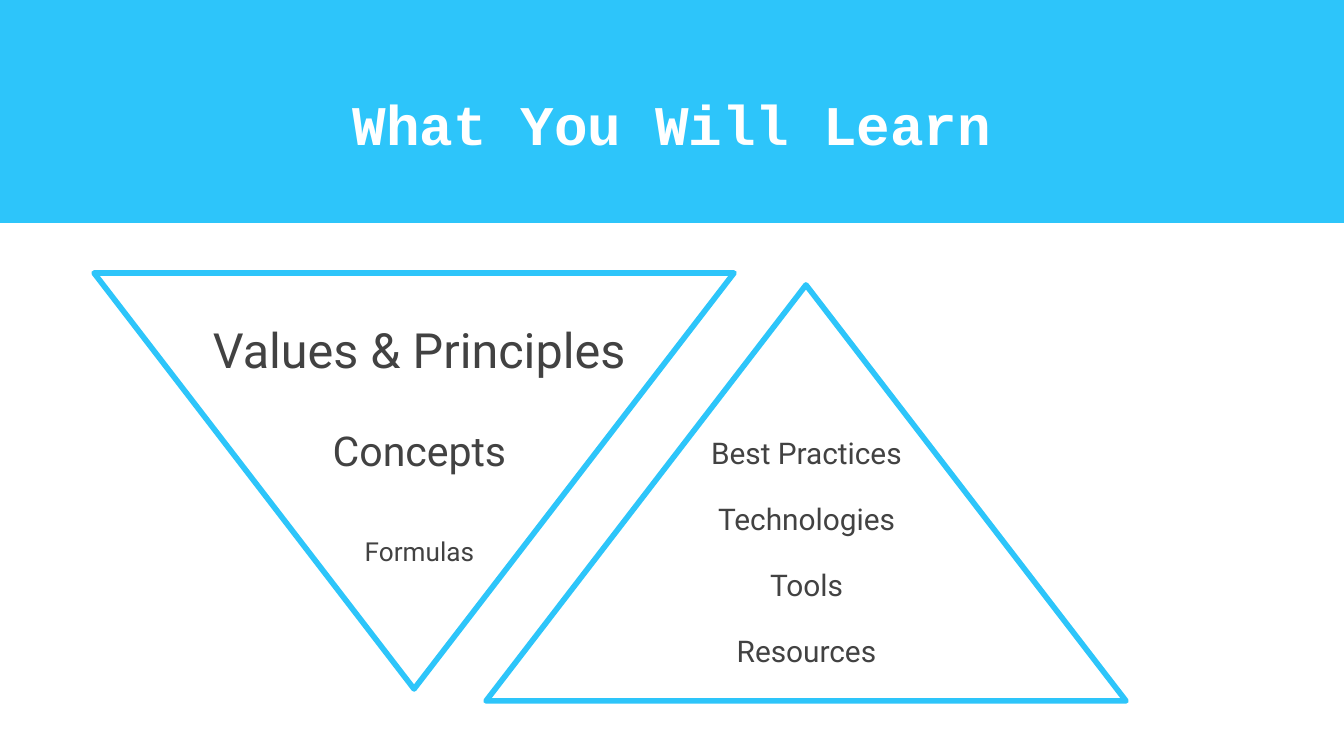
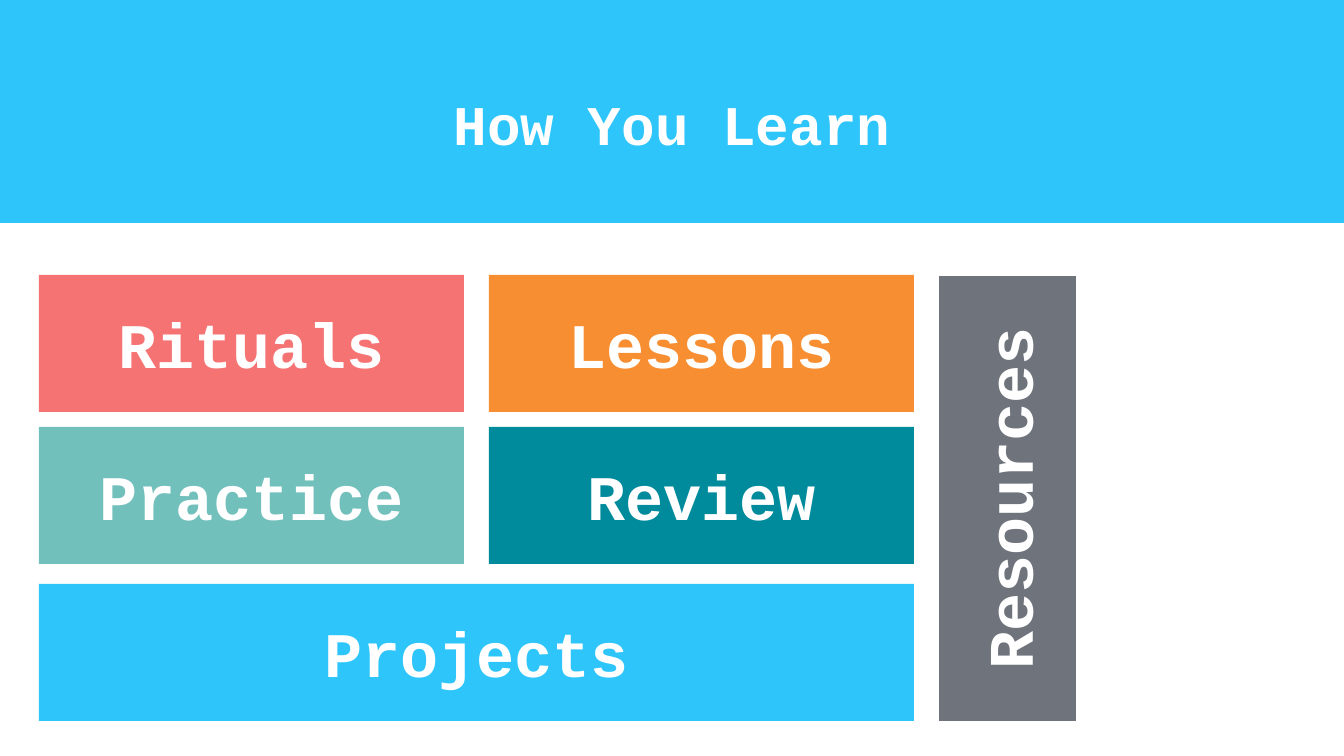
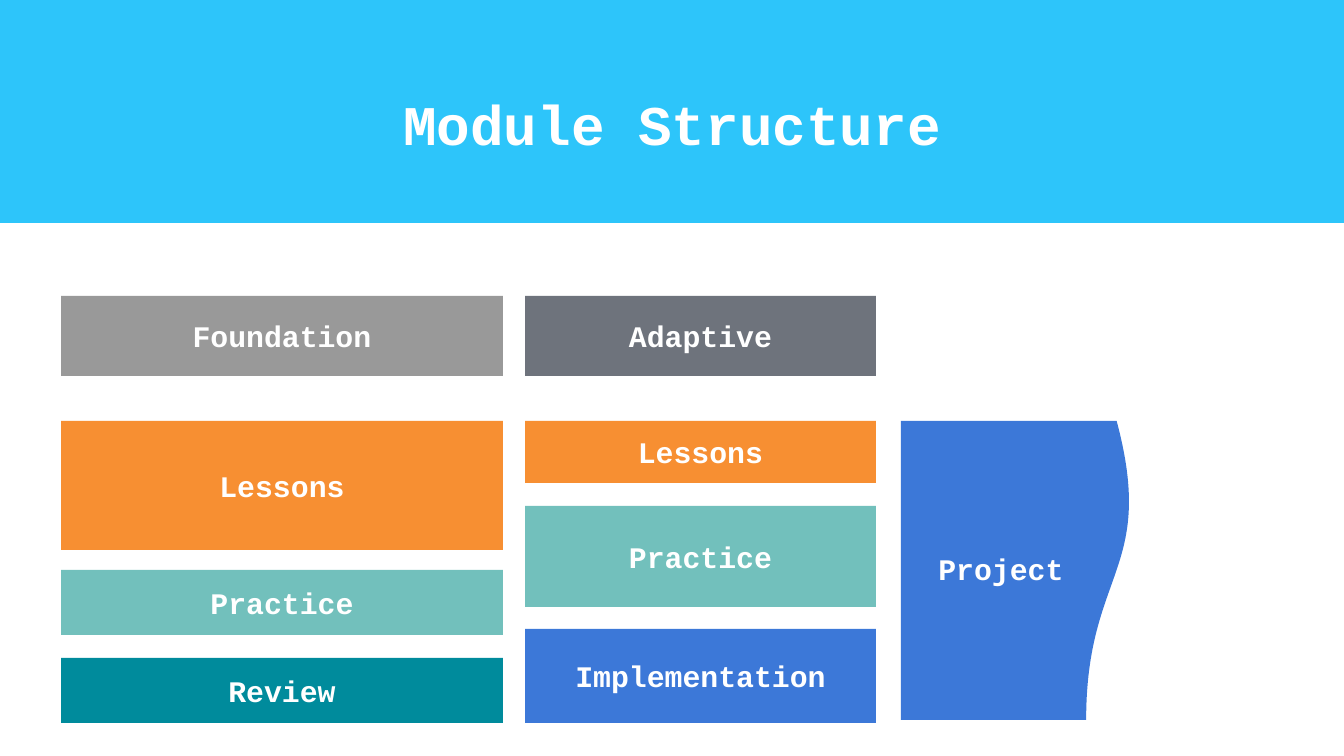
from pptx import Presentation
from pptx.dml.color import RGBColor
from pptx.enum.shapes import MSO_SHAPE
from pptx.enum.text import MSO_ANCHOR, PP_ALIGN
from pptx.util import Emu, Pt

SCALE = 914400 / 134.4
SLIDE_W, SLIDE_H = 1344, 756
MONO, SANS = "Courier New", "Roboto"

SKY, BLUE, TEAL, MINT = "2DC5FA", "3C78D8", "008B9C", "72C0BC"
ORANGE, CORAL, SLATE, GRAY = "F78F32", "F67373", "6E737C", "999999"
INK, WHITE = "424242", "FFFFFF"


def px(n):
    """Turn px into EMU."""
    return Emu(round(n * SCALE))


def rgb(code):
    """Turn a hex string into a colour."""
    return RGBColor.from_string(code)


def write(sp, text, size, font=MONO, color=WHITE, bold=True):
    """Put one centred line into a shape and return its paragraph."""
    tf = sp.text_frame
    tf.word_wrap = True
    tf.vertical_anchor = MSO_ANCHOR.MIDDLE
    tf.margin_left = tf.margin_right = tf.margin_top = tf.margin_bottom = px(13)
    p = tf.paragraphs[0]
    p.alignment = PP_ALIGN.CENTER
    r = p.add_run()
    r.text = text
    r.font.name = font
    r.font.size = Pt(size)
    r.font.bold = bold
    r.font.color.rgb = rgb(color)
    return p


def add_label(s, box, text, size, **style):
    """Add a text box and return its paragraph."""
    return write(s.shapes.add_textbox(*map(px, box)), text, size, **style)


def add_shape(s, box, fill=None, line=None, kind=MSO_SHAPE.RECTANGLE, rotation=0):
    """Add a flat preset shape."""
    sp = s.shapes.add_shape(kind, *map(px, box))
    sp.shadow.inherit = False
    sp.rotation = rotation
    if fill:
        sp.fill.solid()
        sp.fill.fore_color.rgb = rgb(fill)
    else:
        sp.fill.background()
    if line:
        sp.line.color.rgb = rgb(line)
        sp.line.width = Pt(3)
    else:
        sp.line.fill.background()
    return sp


def add_block(s, box, text, fill, size, rotation=0):
    """Add a coloured rectangle with a caption."""
    write(add_shape(s, box, fill, rotation=rotation), text, size)


def add_slide(prs, title):
    """Add a blank slide with the title band."""
    s = prs.slides.add_slide(prs.slide_layouts[6])
    add_shape(s, (0, 0, SLIDE_W, 223), SKY)
    add_label(s, (63, 47, 1218, 153), title, 30)
    return s


def build_topics(prs):
    """Build the slide with the two triangles of topics."""
    s = add_slide(prs, "What You Will Learn")
    for left, top, rotation in ((486, 285, 0), (94, 273, 180)):
        add_shape(s, (left, top, 640, 416), line=SKY,
                  kind=MSO_SHAPE.ISOSCELES_TRIANGLE, rotation=rotation)

    plain = {"font": SANS, "color": INK, "bold": False}
    ideas = (("Values & Principles", 26, 524), ("Concepts", 22, 360), ("Formulas", 14, 182))
    for i, (text, size, width) in enumerate(ideas):
        p = add_label(s, (413 - width // 2, 302 + 101 * i, width, 94), text, size, **plain)
        p.space_after = Pt(14)
        p._p.get_or_add_pPr().set("indent", str(px(13)))

    for i, text in enumerate(("Best Practices", "Technologies", "Tools", "Resources")):
        add_label(s, (648, 406 + 66 * i, 317, 94), text, 16, **plain)


def build_methods(prs):
    """Build the slide with the blocks of learning methods."""
    s = add_slide(prs, "How You Learn")
    left, width, height, gap = 39, 425, 137, 25
    rows = (
        (275, (("Rituals", CORAL), ("Lessons", ORANGE))),
        (427, (("Practice", MINT), ("Review", TEAL))),
        (584, (("Projects", SKY),)),
    )
    full = 2 * width + gap
    for top, blocks in rows:
        block_w = (full - gap * (len(blocks) - 1)) // len(blocks)
        for i, (text, fill) in enumerate(blocks):
            box = (left + i * (block_w + gap), top, block_w, height)
            add_block(s, box, text, fill, 34)
    add_block(s, (785, 430, 445, height), "Resources", SLATE, 34, rotation=270)


def build_structure(prs):
    """Build the slide with the two columns of a module and its project."""
    s = add_slide(prs, "Module Structure")
    columns = (
        (61, 442, (("Foundation", GRAY, 296, 80), ("Lessons", ORANGE, 421, 129),
                   ("Practice", MINT, 570, 65), ("Review", TEAL, 658, 65))),
        (525, 351, (("Adaptive", SLATE, 296, 80), ("Lessons", ORANGE, 421, 62),
                    ("Practice", MINT, 506, 101), ("Implementation", BLUE, 629, 94))),
    )
    for left, width, blocks in columns:
        for text, fill, top, height in blocks:
            add_block(s, (left, top, width, height), text, fill, 16)

    project = add_shape(s, (867, 455, 299, 231), BLUE,
                        kind=MSO_SHAPE.FLOWCHART_DOCUMENT, rotation=270)
    project._element.spPr.get_or_add_xfrm().set("flipH", "1")
    add_label(s, (901, 421, 200, 295), "Project", 16)


def main():
    """Build the deck and save it."""
    prs = Presentation()
    prs.slide_width, prs.slide_height = px(SLIDE_W), px(SLIDE_H)
    build_topics(prs)
    build_methods(prs)
    build_structure(prs)
    prs.save("out.pptx")


if __name__ == "__main__":
    main()
